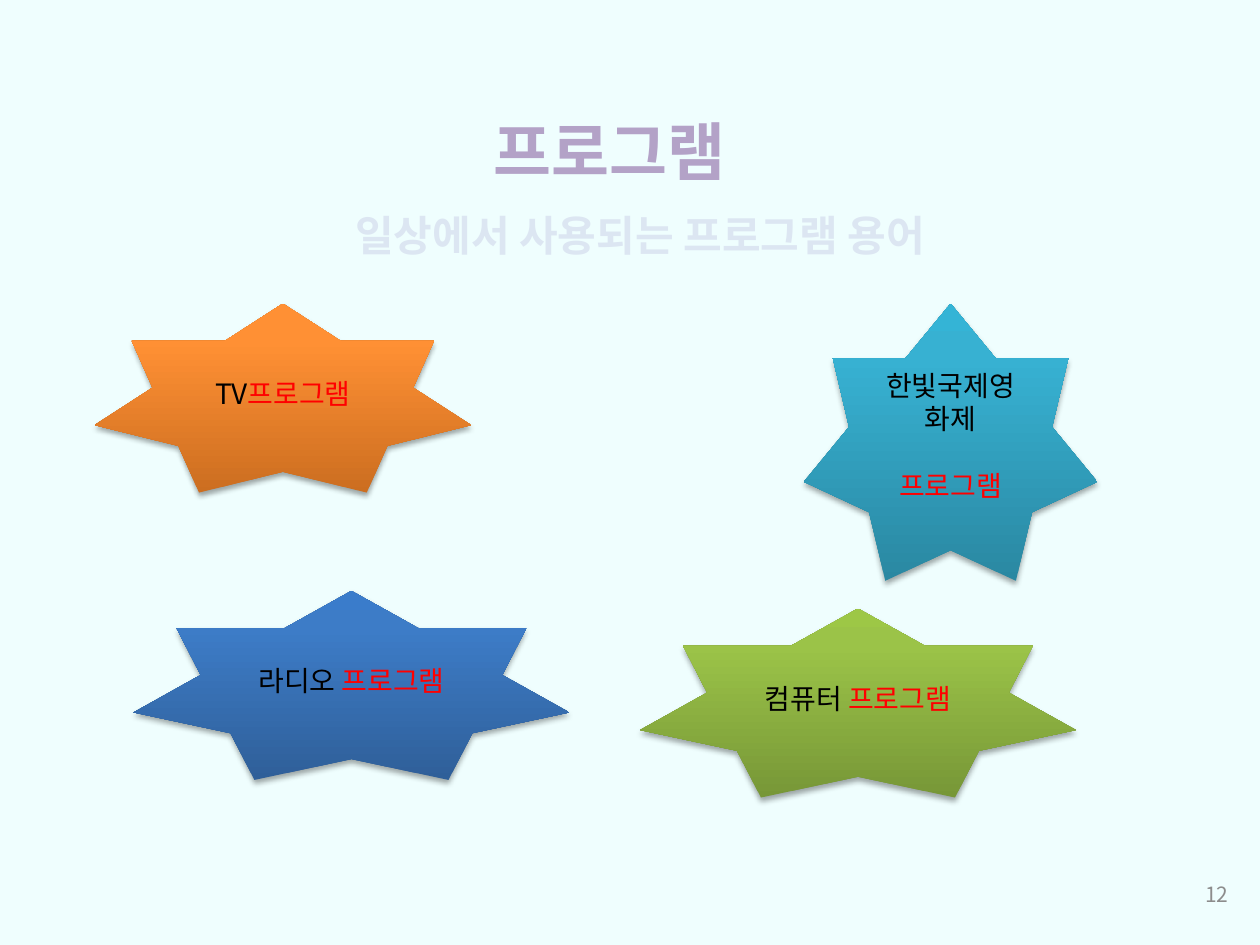
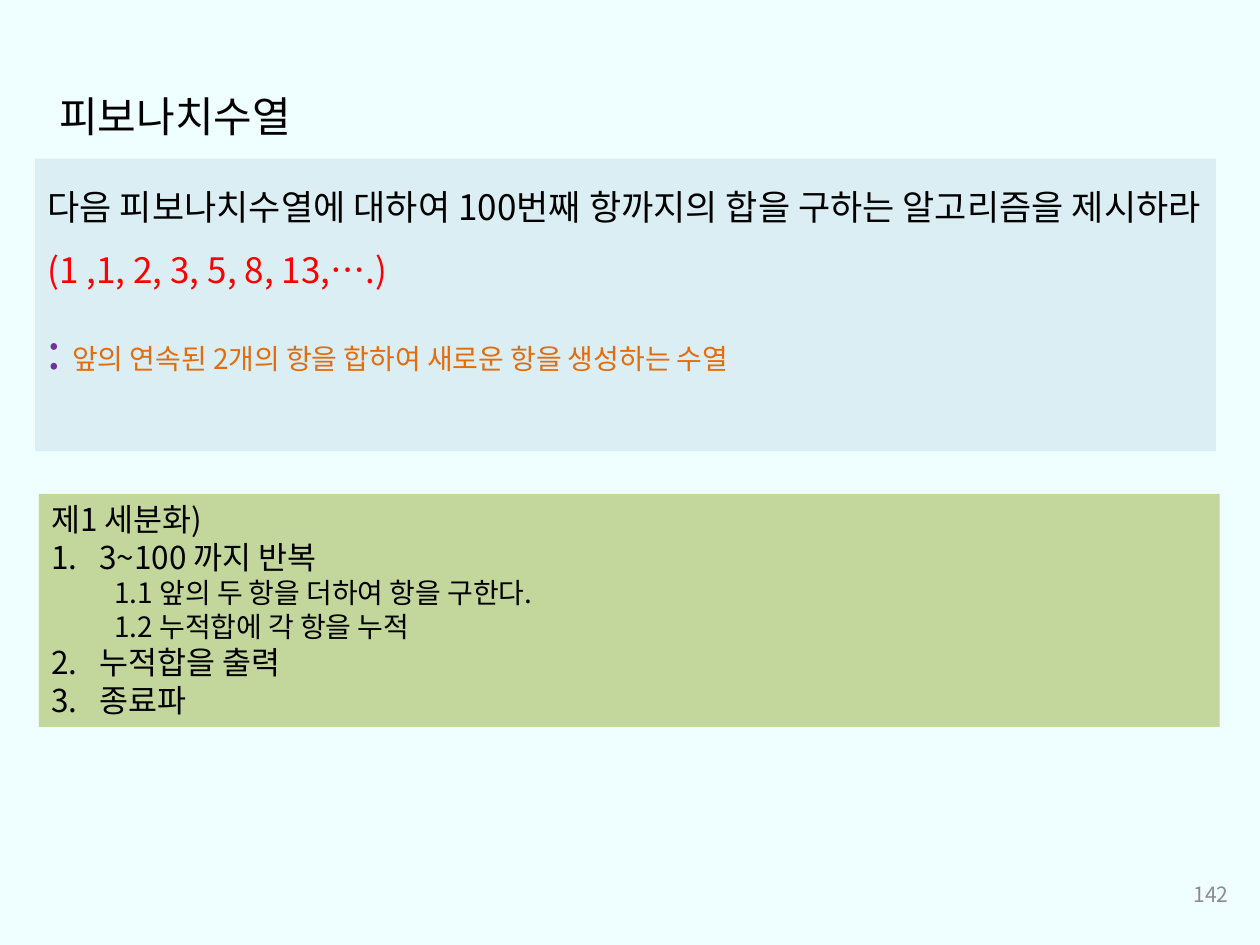
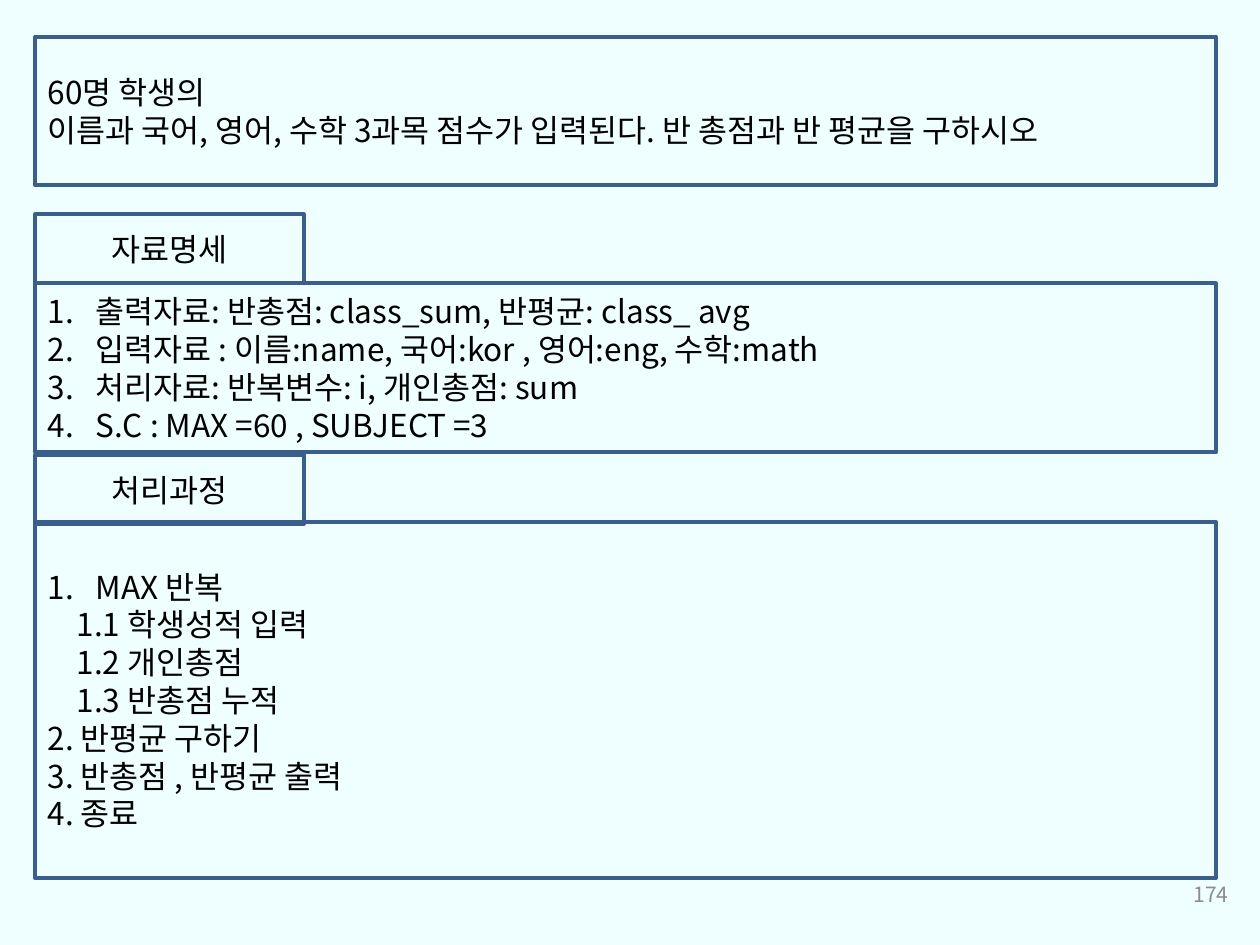
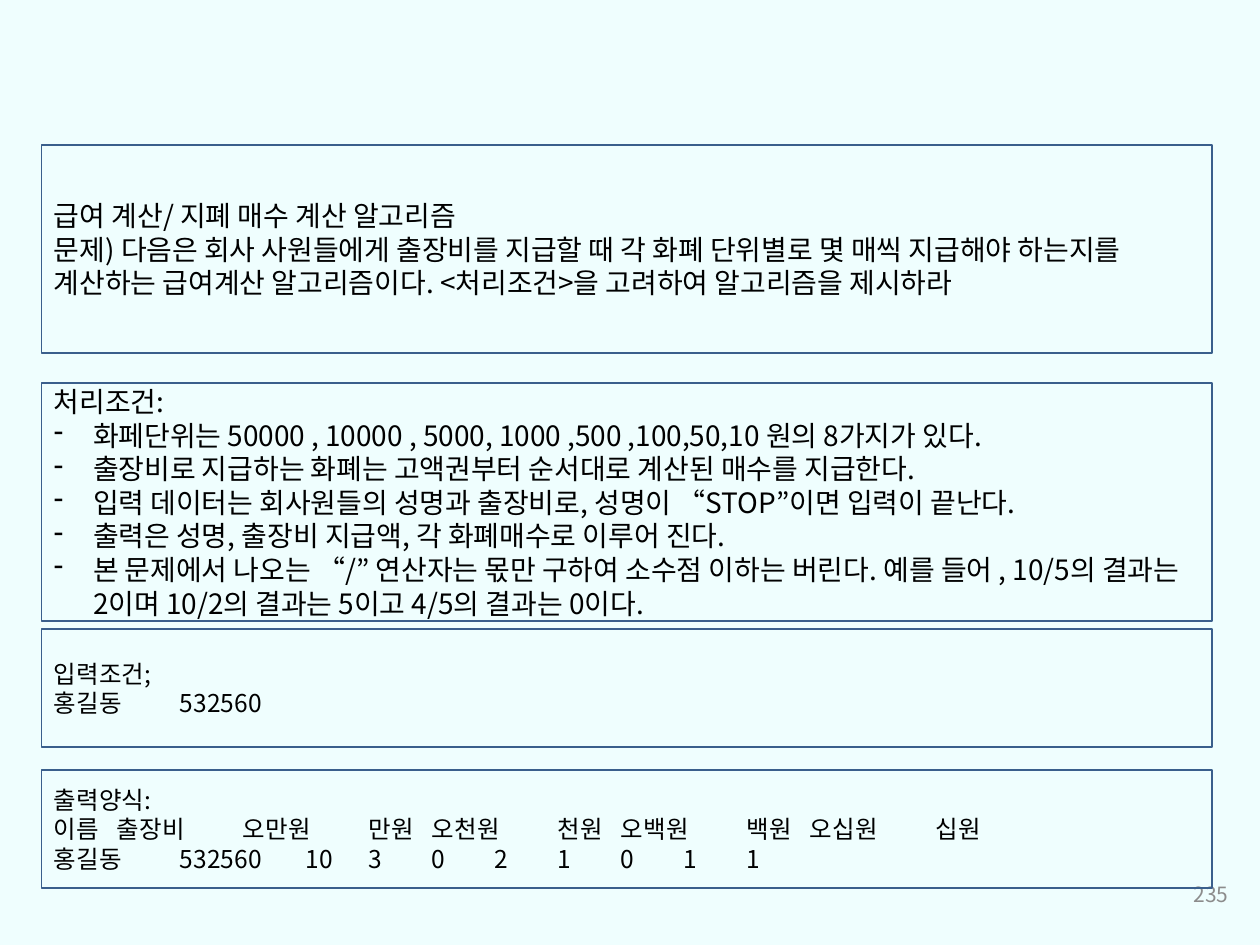
from dataclasses import dataclass
from typing import Optional

from lxml import etree
from pptx import Presentation
from pptx.dml.color import RGBColor
from pptx.enum.shapes import MSO_SHAPE
from pptx.enum.text import MSO_ANCHOR, MSO_AUTO_SIZE, PP_ALIGN
from pptx.oxml import parse_xml
from pptx.oxml.ns import nsdecls, qn
from pptx.util import Emu, Inches, Pt

LEFT, CENTER, RIGHT = PP_ALIGN.LEFT, PP_ALIGN.CENTER, PP_ALIGN.RIGHT
TOP, MIDDLE = MSO_ANCHOR.TOP, MSO_ANCHOR.MIDDLE
FIT_TEXT = MSO_AUTO_SIZE.SHAPE_TO_FIT_TEXT
RECTANGLE, STAR = MSO_SHAPE.RECTANGLE, MSO_SHAPE.STAR_7_POINT

FONT = "Noto Sans CJK KR"
COLORS = {
    "page": "EFFEFE",
    "ink": "000000",
    "number": "8C8C8C",
    "frame": "3A5F8C",
    "title": "B3A2C7",
    "subtitle": "DCE6F2",
    "accent": "FF0000",
    "colon": "7030A0",
    "hint": "E46C0A",
    "question": "DBEEF4",
    "answer": "C3D69B",
}
# Gradient stops from the bottom of a star to its top
STAR_COLORS = {
    "orange": ("CC6E20", "FF9034", "FF9136"),
    "aqua": ("2A88A2", "37B1D2", "34B4D6"),
    "blue": ("2F5F99", "3D7CC7", "3A7CCB"),
    "green": ("779737", "9BC348", "9DC746"),
}
STAR_STOPS = (0, 80, 100)

SLIDE_WIDTH, SLIDE_HEIGHT = Inches(10), Inches(7.5)
COLUMNS, ROWS = 100, 75


@dataclass(frozen=True)
class Place:
    """A cell range on the grid of 100 columns by 75 rows."""
    col: float
    row: float
    cols: float
    rows: float

    def box(self) -> tuple:
        across, down = SLIDE_WIDTH / COLUMNS, SLIDE_HEIGHT / ROWS
        return (Emu(round(self.col * across)), Emu(round(self.row * down)),
                Emu(round(self.cols * across)), Emu(round(self.rows * down)))


@dataclass(frozen=True)
class Run:
    text: str
    color: Optional[str] = None
    size: Optional[float] = None


@dataclass(frozen=True)
class Para:
    """A paragraph; margin, hanging and tabs are in inches."""
    runs: tuple
    size: float
    color: str = "ink"
    bold: bool = False
    align: PP_ALIGN = LEFT
    level: int = 0
    margin: float = 0
    hanging: float = 0
    number: int = 0
    dash: bool = False
    tabs: tuple = ()
    spacing: Optional[float] = None
    before: float = 0


@dataclass(frozen=True)
class Star:
    place: Place
    tint: str
    paras: tuple


@dataclass(frozen=True)
class Panel:
    place: Place
    paras: tuple
    fill: Optional[str] = None
    line_width: float = 0
    anchor: MSO_ANCHOR = MIDDLE


def para(text: str, size: float, **options) -> Para:
    return Para((Run(text),), size, **options)


def numbered(text: str, size: float, start: int = 1) -> Para:
    return para(text, size, margin=0.38, hanging=0.38, number=start)


def dashed(text: str, size: float) -> Para:
    return para(text, size, margin=0.31, hanging=0.31, dash=True)


def rgb(name: str) -> RGBColor:
    return RGBColor.from_string(COLORS[name])


def set_marks(p, item: Para) -> None:
    """Indent, bullet and tab stops."""
    props = p._p.get_or_add_pPr()
    props.set("marL", str(Inches(item.margin)))
    props.set("indent", str(-Inches(item.hanging)))
    if item.number:
        etree.SubElement(props, qn("a:buAutoNum"), type="arabicPeriod",
                         startAt=str(item.number))
    elif item.dash:
        etree.SubElement(props, qn("a:buChar"), char="-")
    else:
        etree.SubElement(props, qn("a:buNone"))
    if item.tabs:
        stops = etree.SubElement(props, qn("a:tabLst"))
        for stop in item.tabs:
            etree.SubElement(stops, qn("a:tab"), pos=str(Inches(stop)), algn="l")


def write(frame, paras: tuple, anchor: MSO_ANCHOR) -> None:
    frame.vertical_anchor = anchor
    for index, item in enumerate(paras):
        p = frame.add_paragraph() if index else frame.paragraphs[0]
        p.alignment, p.level = item.align, item.level
        set_marks(p, item)
        if item.spacing:
            p.line_spacing = item.spacing
        if item.before:
            p.space_before = Pt(item.before)
        p.font.size, p.font.bold, p.font.name = Pt(item.size), item.bold, FONT
        p.font.color.rgb = rgb(item.color)
        defaults = p._p.pPr.find(qn("a:defRPr"))
        etree.SubElement(defaults, qn("a:ea"), typeface=FONT)
        for part in item.runs:
            run = p.add_run()
            run.text = part.text
            if part.color:
                run.font.color.rgb = rgb(part.color)
            if part.size:
                run.font.size = Pt(part.size)


def draw_text(slide, place: Place, item: Para, anchor: MSO_ANCHOR = TOP,
              wrap: bool = False) -> None:
    frame = slide.shapes.add_textbox(*place.box()).text_frame
    frame.word_wrap = wrap
    if not wrap:
        frame.auto_size = FIT_TEXT
    write(frame, (item,), anchor)


def draw_panel(slide, panel: Panel) -> None:
    shape = slide.shapes.add_shape(RECTANGLE, *panel.place.box())
    shape.shadow.inherit = False
    if panel.fill:
        shape.fill.solid()
        shape.fill.fore_color.rgb = rgb(panel.fill)
    else:
        shape.fill.background()
    if panel.line_width:
        shape.line.color.rgb = rgb("frame")
        shape.line.width = Pt(panel.line_width)
    else:
        shape.line.fill.background()
    write(shape.text_frame, panel.paras, panel.anchor)


def draw_star(slide, star: Star) -> None:
    """A star with an upward gradient and a soft shadow below."""
    shape = slide.shapes.add_shape(STAR, *star.place.box())
    stops = "".join(
        f'<a:gs pos="{stop * 1000}"><a:srgbClr val="{color}"/></a:gs>'
        for stop, color in zip(STAR_STOPS, STAR_COLORS[star.tint]))
    props = shape._element.spPr
    props.append(parse_xml(
        f'<a:gradFill {nsdecls("a")} rotWithShape="1"><a:gsLst>{stops}</a:gsLst>'
        '<a:lin ang="16200000" scaled="0"/></a:gradFill>'))
    shape.line.fill.background()
    props.append(parse_xml(
        f'<a:effectLst {nsdecls("a")}><a:outerShdw blurRad="{Pt(3.1)}" '
        f'dist="{Pt(1.8)}" dir="5400000" rotWithShape="0"><a:srgbClr val="000000">'
        '<a:alpha val="35000"/></a:srgbClr></a:outerShdw></a:effectLst>'))
    write(shape.text_frame, star.paras, MIDDLE)


def add_slide(prs, number: int):
    """A blank slide with its page number."""
    slide = prs.slides.add_slide(prs.slide_layouts[6])
    draw_text(slide, Place(75.2, 69, 23.3, 4),
              para(str(number), 12, color="number", align=RIGHT), MIDDLE, True)
    return slide


def program_label(kind: str) -> tuple:
    return (Para((Run(kind), Run("프로그램", "accent")), 16, align=CENTER),)


def build_program_terms(prs) -> None:
    slide = add_slide(prs, 12)
    festival = (para("한빛국제영화제", 16, align=CENTER),
                para("프로그램", 16, color="accent", align=CENTER, before=19))
    stars = (
        Star(Place(7.5, 24.1, 29.9, 15), "orange", program_label("TV")),
        Star(Place(63.8, 24.1, 23.3, 22), "aqua", festival),
        Star(Place(10.6, 46.9, 34.6, 15), "blue", program_label("라디오 ")),
        Star(Place(50.8, 48.3, 34.6, 15), "green", program_label("컴퓨터 ")),
    )
    for star in stars:
        draw_star(slide, star)
    draw_text(slide, Place(37.3, 8.4, 22.2, 7.1),
              para("프로그램", 36, color="title", bold=True, align=CENTER))
    draw_text(slide, Place(26.8, 16.1, 48, 5),
              para("일상에서 사용되는 프로그램 용어", 24, color="subtitle",
                   bold=True, align=CENTER))


def build_fibonacci(prs) -> None:
    slide = add_slide(prs, 142)
    steps = (
        para("제1 세분화)", 18),
        numbered("3~100 까지 반복", 18),
        para("1.1 앞의 두 항을 더하여 항을 구한다.", 16, level=1, margin=0.5),
        para("1.2 누적합에 각 항을 누적", 16, level=1, margin=0.5),
        numbered("누적합을 출력", 18, 2),
        numbered("종료파", 18, 2),
    )
    question = (
        para("다음 피보나치수열에 대하여 100번째 항까지의 합을 구하는 알고리즘을 제시하라",
             20, spacing=1.5),
        para("(1 ,1, 2, 3, 5, 8, 13,….)", 20, color="accent", spacing=1.5),
        Para((Run(": ", "colon", 28),
              Run("앞의 연속된 2개의 항을 합하여 새로운 항을 생성하는 수열", "hint", 16)),
             20, spacing=1.5),
    )
    draw_panel(slide, Panel(Place(3.1, 39.2, 93.7, 18.5), steps, "answer", anchor=TOP))
    draw_panel(slide, Panel(Place(2.8, 12.6, 93.7, 23.2), question, "question",
                            anchor=TOP))
    draw_text(slide, Place(2.8, 6.7, 22.2, 5), para("피보나치수열", 24, align=CENTER))


def build_class_scores(prs) -> None:
    slide = add_slide(prs, 174)
    size, left, width, tab_width, tab_height = 18, 2.8, 93.7, 21.3, 5.5
    problem = (
        para("60명 학생의", size),
        para("이름과 국어, 영어, 수학 3과목 점수가 입력된다. 반 총점과 반 평균을 구하시오", size),
    )
    data_items = tuple(numbered(text, size) for text in (
        "출력자료: 반총점: class_sum, 반평균: class_ avg",
        "입력자료 : 이름:name, 국어:kor , 영어:eng, 수학:math",
        "처리자료: 반복변수: i, 개인총점: sum",
        "S.C : MAX =60 , SUBJECT =3",
    ))
    process = (
        numbered("MAX 반복", size),
        *(para(text, size, margin=0.23)
          for text in ("1.1 학생성적 입력", "1.2 개인총점", "1.3 반총점 누적")),
        *(para(text, size)
          for text in ("2. 반평균 구하기", "3. 반총점 , 반평균 출력", "4. 종료")),
    )
    panels = (
        (2.9, width, 11.8, problem),
        (22.5, width, 13.4, data_items),
        (17, tab_width, tab_height, (para("자료명세", size, align=CENTER),)),
        (41.4, width, 28.3, process),
        (36.1, tab_width, tab_height, (para("처리과정", size, align=CENTER),)),
    )
    for row, cols, rows, paras in panels:
        draw_panel(slide, Panel(Place(left, row, cols, rows), paras, line_width=2.25))


def build_cash_count(prs) -> None:
    slide = add_slide(prs, 235)
    problem = (
        para("급여 계산/ 지폐 매수 계산 알고리즘", 16),
        para("문제) 다음은 회사 사원들에게 출장비를 지급할 때 각 화폐 단위별로 몇 매씩 지급해야 "
             "하는지를 계산하는 급여계산 알고리즘이다. <처리조건>을 고려하여 알고리즘을 제시하라", 16),
    )
    conditions = (para("처리조건:", 16),) + tuple(dashed(text, 16) for text in (
        "화페단위는 50000 , 10000 , 5000, 1000 ,500 ,100,50,10 원의 8가지가 있다.",
        "출장비로 지급하는 화폐는 고액권부터 순서대로 계산된 매수를 지급한다.",
        "입력 데이터는 회사원들의 성명과 출장비로, 성명이 “STOP”이면 입력이 끝난다.",
        "출력은 성명, 출장비 지급액, 각 화폐매수로 이루어 진다.",
        "본 문제에서 나오는 “/” 연산자는 몫만 구하여 소수점 이하는 버린다. "
        "예를 들어 , 10/5의 결과는 2이며 10/2의 결과는 5이고 4/5의 결과는 0이다.",
    ))
    sample_input = (para("입력조건;", 14), para("홍길동\t532560", 14, tabs=(0.69,)))
    headings = ("이름", "출장비", "오만원", "만원", "오천원", "천원", "오백원",
                "백원", "오십원", "십원")
    counts = ("홍길동", "532560", "10", "3", "0", "2", "1", "0", "1", "1")
    sample_output = (
        para("출력양식:", 14),
        para("\t".join(headings), 14,
             tabs=(0.68, 1.55, 2.36, 3.04, 3.96, 4.59, 5.51, 6.14, 6.96)),
        para("\t".join(counts), 14,
             tabs=(0.8, 1.67, 2.41, 3, 3.67, 4.26, 4.93, 5.48, 6.07)),
    )
    panels = ((11.5, 16.5, problem), (30.4, 18.9, conditions),
              (49.9, 9.4, sample_input), (61.1, 9.4, sample_output))
    for row, rows, paras in panels:
        draw_panel(slide, Panel(Place(3.3, row, 92.9, rows), paras, line_width=1))


def main() -> None:
    prs = Presentation()
    prs.slide_width, prs.slide_height = SLIDE_WIDTH, SLIDE_HEIGHT
    page = prs.slide_master.background.fill
    page.solid()
    page.fore_color.rgb = rgb("page")
    for build in (build_program_terms, build_fibonacci, build_class_scores,
                  build_cash_count):
        build(prs)
    prs.save("out.pptx")


if __name__ == "__main__":
    main()
